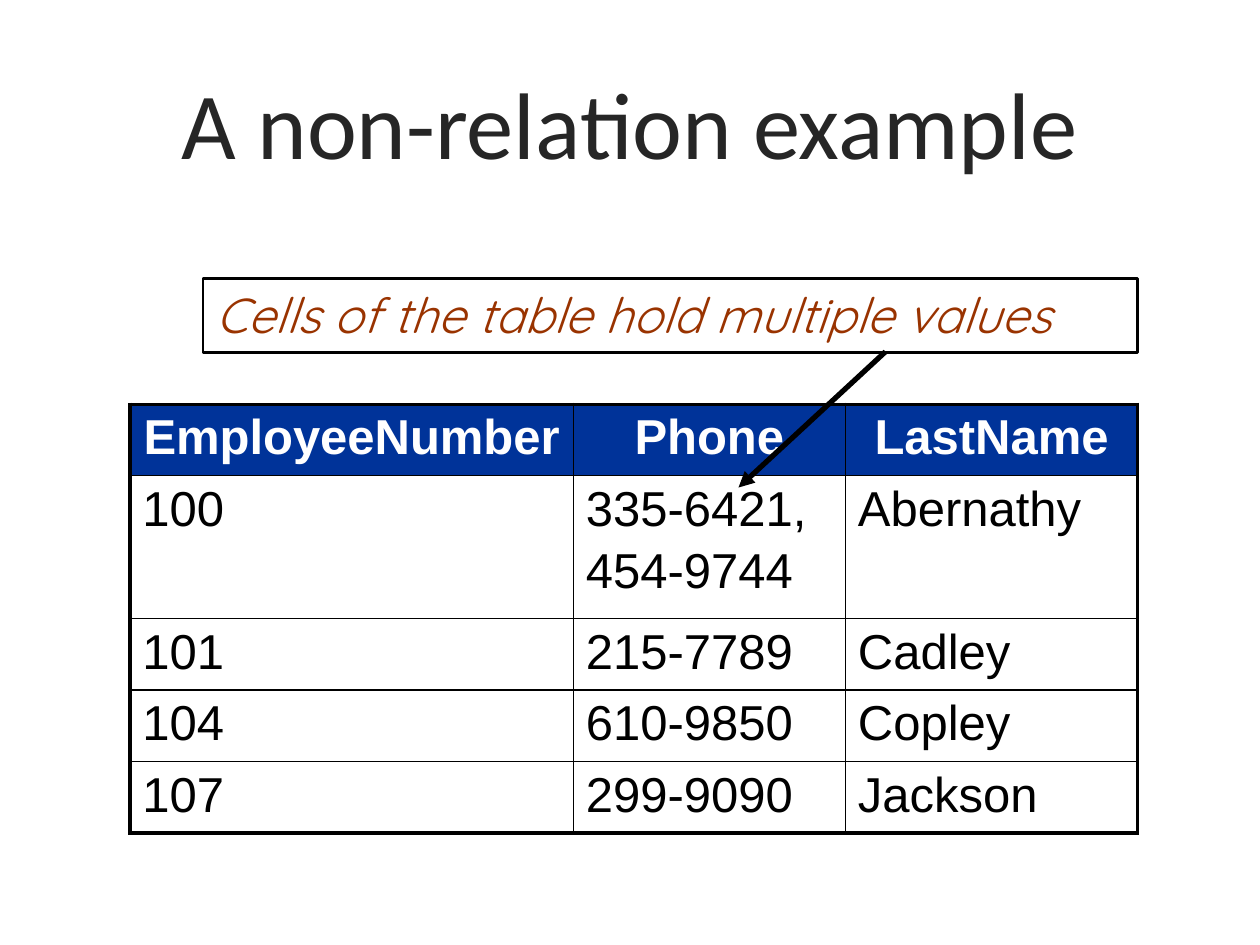
from lxml import etree
from pptx import Presentation
from pptx import util as u
from pptx.dml.color import RGBColor
from pptx.enum import shapes, text
from pptx.oxml.ns import qn

BLACK = RGBColor(0x00, 0x00, 0x00)
WHITE = RGBColor(0xFF, 0xFF, 0xFF)
CHARCOAL = RGBColor(0x26, 0x26, 0x26)
NAVY = RGBColor(0x00, 0x33, 0x99)
RUST = RGBColor(0x99, 0x33, 0x00)

TITLE = dict(name="Calibri", size=u.Pt(54), color=CHARCOAL)
NOTE = dict(name="Quicksand", size=u.Pt(28), italic=True, color=RUST)
HEADER = dict(name="Arial", size=u.Pt(28), bold=True, color=WHITE)
BODY = dict(name="Arial", size=u.Pt(28), bold=False, color=BLACK)

COLUMNS = [253.4, 155.5, 167]
ROW_HEIGHTS = [40.8, 81.6, 40.8, 40.8, 40.8]
ROWS = [
    ["EmployeeNumber", "Phone", "LastName"],
    ["100", "335-6421,\n454-9744", "Abernathy"],
    ["101", "215-7789", "Cadley"],
    ["104", "610-9850", "Copley"],
    ["107", "299-9090", "Jackson"],
]
OUTER, INNER = 2.25, 1


def write(tf, content, fmt, align, space=0):
    for i, line in enumerate(content.split("\n")):
        p = tf.add_paragraph() if i else tf.paragraphs[0]
        p.alignment = align
        p.space_before = u.Pt(space)
        r = p.add_run()
        r.text = line
        for key, value in fmt.items():
            if key == "color":
                r.font.color.rgb = value
            else:
                setattr(r.font, key, value)


def add_title(s, content, box):
    tf = s.shapes.add_textbox(*map(u.Pt, box)).text_frame
    tf.word_wrap = True
    tf.vertical_anchor = text.MSO_ANCHOR.MIDDLE
    write(tf, content, TITLE, text.PP_ALIGN.CENTER)


def add_note(s, content, box):
    sp = s.shapes.add_shape(shapes.MSO_SHAPE.RECTANGLE, *map(u.Pt, box))
    sp.shadow.inherit = False
    sp.fill.background()
    sp.line.color.rgb = BLACK
    sp.line.width = u.Pt(1.5)
    sp.text_frame.word_wrap = True
    sp.text_frame.vertical_anchor = text.MSO_ANCHOR.TOP
    write(sp.text_frame, content, NOTE, text.PP_ALIGN.LEFT)


def set_borders(cell, widths):
    tcPr = cell._tc.get_or_add_tcPr()
    for i, (side, width) in enumerate(widths.items()):
        ln = etree.Element(qn(f"a:ln{side}"), w=str(u.Pt(width)))
        fill = etree.SubElement(ln, qn("a:solidFill"))
        etree.SubElement(fill, qn("a:srgbClr"), val=str(BLACK))
        tcPr.insert(i, ln)


def add_phone_table(s, left, top):
    last_row, last_col = len(ROWS) - 1, len(COLUMNS) - 1
    frame = s.shapes.add_table(
        len(ROWS), len(COLUMNS), u.Pt(left), u.Pt(top),
        u.Pt(sum(COLUMNS)), u.Pt(sum(ROW_HEIGHTS)))
    table = frame.table
    table.horz_banding = False
    for column, width in zip(table.columns, COLUMNS):
        column.width = u.Pt(width)
    for row, height in zip(table.rows, ROW_HEIGHTS):
        row.height = u.Pt(height)
    for i, values in enumerate(ROWS):
        for j, value in enumerate(values):
            cell = table.cell(i, j)
            if i == 0:
                cell.fill.solid()
                cell.fill.fore_color.rgb = NAVY
                write(cell.text_frame, value, HEADER, text.PP_ALIGN.CENTER, 4.5)
            else:
                cell.fill.background()
                write(cell.text_frame, value, BODY, text.PP_ALIGN.LEFT, 4.5)
            edges = dict(L=j == 0, R=j == last_col, T=i == 0, B=i == last_row)
            set_borders(cell, {side: OUTER if outer else INNER
                               for side, outer in edges.items()})


def add_arrow(s, start, end):
    cn = s.shapes.add_connector(
        shapes.MSO_CONNECTOR.STRAIGHT, *map(u.Pt, start + end))
    cn.line.color.rgb = BLACK
    cn.line.width = u.Pt(3)
    etree.SubElement(cn.line._get_or_add_ln(), qn("a:tailEnd"), type="triangle")
    etree.SubElement(cn._element.spPr, qn("a:effectLst"))


def main():
    prs = Presentation()
    prs.slide_width, prs.slide_height = u.Pt(720), u.Pt(540)
    s = prs.slides.add_slide(prs.slide_layouts[6])
    add_title(s, "A non-relation example", (57, 24.5, 605.5, 90.5))
    add_phone_table(s, 74.2, 231)
    add_note(s, "Cells of the table hold multiple values", (116, 159, 534, 42.5))
    add_arrow(s, (506, 201), (422, 278.6))
    prs.save("out.pptx")


if __name__ == "__main__":
    main()
